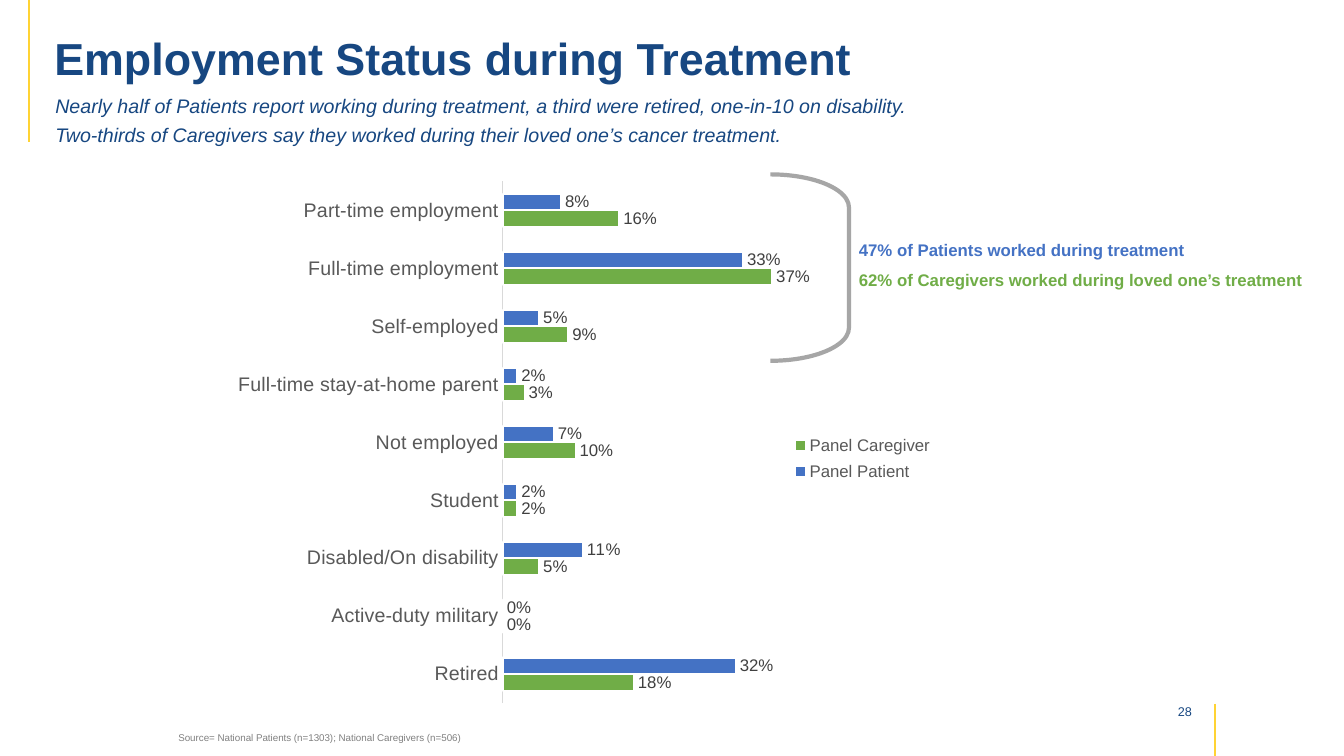
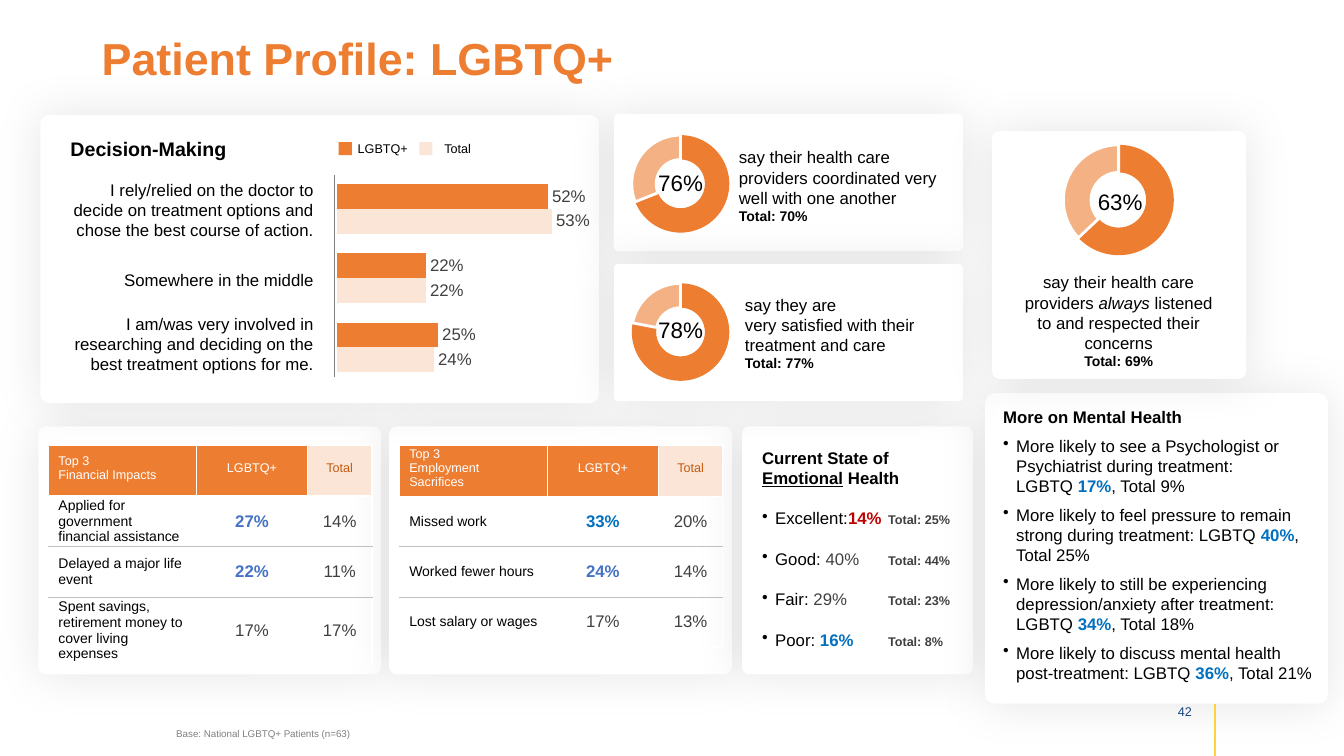
from dataclasses import dataclass, replace

from lxml.etree import SubElement
from pptx import Presentation
from pptx.chart.data import CategoryChartData
from pptx.dml.color import RGBColor
from pptx.enum.chart import XL_CHART_TYPE, XL_LABEL_POSITION, XL_LEGEND_POSITION, XL_TICK_MARK
from pptx.enum.shapes import MSO_CONNECTOR, MSO_SHAPE
from pptx.enum.text import MSO_ANCHOR, PP_ALIGN
from pptx.oxml import parse_xml
from pptx.oxml.ns import nsdecls, qn
from pptx.util import Emu, Pt

PX = 9144  # 100 px to the inch
FONT = "Arial"
NAVY, GOLD, WHITE, BLACK = "174781", "FFD334", "FFFFFF", "000000"
BLUE, GREEN, BRIGHT_BLUE, RED = "4472C4", "70AD47", "0070C0", "C00000"
ORANGE, PEACH, PALE, RUST = "ED7D31", "F4B183", "FBE5D6", "C55A11"
INK, SLATE, GRAY, BRACKET_GRAY, RULE, AXIS = "404040", "595959", "808080", "A6A6A6", "BFBFBF", "D9D9D9"


@dataclass(frozen=True)
class Look:
    size: int = 12
    color: str = BLACK
    bold: bool = False
    italic: bool = False
    underline: bool = False


BODY = Look()
STRONG = Look(bold=True)
TOTAL = Look(size=10, bold=True)
TITLE = Look(size=32, color=NAVY, bold=True)


def px(*lengths):
    return [Emu(length * PX) for length in lengths]


def rgb(color):
    return RGBColor.from_string(color)


def style_font(font, look):
    font.name, font.size = FONT, Pt(look.size)
    font.bold, font.italic, font.underline = look.bold, look.italic, look.underline
    font.color.rgb = rgb(look.color)


def write(paragraph, pieces, look):
    """Fill a paragraph from a string, or a list of strings and (string, Look) pairs."""
    for piece in [pieces] if isinstance(pieces, str) else pieces:
        text, piece_look = (piece, look) if isinstance(piece, str) else piece
        for index, line in enumerate(text.split("\n")):
            if index:
                paragraph.add_line_break()
            run = paragraph.add_run()
            run.text = line
            style_font(run.font, piece_look)


def make_bullet(paragraph):
    properties = paragraph._p.get_or_add_pPr()
    properties.set("marL", str(13 * PX))
    properties.set("indent", str(-13 * PX))
    SubElement(properties, qn("a:buChar")).set("char", "•")
    tabs = SubElement(properties, qn("a:tabLst"))
    tab = SubElement(tabs, qn("a:tab"))
    tab.set("pos", str(125 * PX))
    tab.set("algn", "l")


def add_text(slide, box, paragraphs, look=BODY, align=PP_ALIGN.LEFT,
             anchor=MSO_ANCHOR.TOP, gap=0, spacing=None, bulleted=False):
    """Add a text box; paragraphs after the first get the gap and, if asked, bullets."""
    frame = slide.shapes.add_textbox(*px(*box)).text_frame
    frame.word_wrap = True
    frame.vertical_anchor = anchor
    for index, pieces in enumerate(paragraphs):
        paragraph = frame.add_paragraph() if index else frame.paragraphs[0]
        if index and bulleted:
            make_bullet(paragraph)
        if index and gap:
            paragraph.space_before = Pt(gap)
        if spacing:
            paragraph.line_spacing = spacing
        paragraph.alignment = align
        write(paragraph, pieces, look)


def add_line(slide, start, end, color, width):
    line = slide.shapes.add_connector(MSO_CONNECTOR.STRAIGHT, *px(*start, *end))
    line.line.color.rgb = rgb(color)
    line.line.width = Pt(width)
    SubElement(line._element.spPr, qn("a:effectLst"))


def add_filled(slide, kind, box, color):
    shape = slide.shapes.add_shape(kind, *px(*box))
    shape.shadow.inherit = False
    shape.fill.solid()
    shape.fill.fore_color.rgb = rgb(color)
    shape.line.fill.background()
    return shape


def add_card(slide, box):
    """Add a white rounded panel with a soft glow of shadow."""
    card = add_filled(slide, MSO_SHAPE.ROUNDED_RECTANGLE, box, WHITE)
    card.adjustments[0] = 0.03
    effects = card._element.spPr.find(qn("a:effectLst"))
    effects.append(parse_xml(
        f'<a:outerShdw {nsdecls("a")} blurRad="{Pt(35)}" dist="0" dir="0" algn="ctr" rotWithShape="0">'
        f'<a:srgbClr val="{BLACK}"><a:alpha val="10000"/></a:srgbClr></a:outerShdw>'))


def add_frame(slide, title, number, title_left, title_color, source, source_box):
    """Add the title, page number, footer rule and source note every slide carries."""
    add_text(slide, (title_left, 23, 1239, 76), [title], replace(TITLE, color=title_color),
             anchor=MSO_ANCHOR.MIDDLE, spacing=0.9)
    add_text(slide, (1133, 693, 59, 25), [number], Look(9, NAVY), PP_ALIGN.RIGHT)
    add_line(slide, (1205, 698), (1205, 750), GOLD, 1.5)
    add_text(slide, source_box, [source], Look(7, GRAY))


def manual_layout(x, y, width, height, inner=False):
    target = '<c:layoutTarget val="inner"/>' if inner else ""
    return parse_xml(
        f'<c:layout {nsdecls("c")}><c:manualLayout>{target}'
        '<c:xMode val="edge"/><c:yMode val="edge"/>'
        f'<c:x val="{x}"/><c:y val="{y}"/><c:w val="{width}"/><c:h val="{height}"/>'
        '</c:manualLayout></c:layout>')


def add_chart(slide, kind, box, categories, series, plot_area):
    data = CategoryChartData()
    data.categories = categories
    for name, values in series:
        data.add_series(name, values)
    chart = slide.shapes.add_chart(kind, *px(*box), data).chart
    chart.has_title = False
    chart.has_legend = False
    style_font(chart.font, Look(10))
    area = chart.element.find(".//" + qn("c:plotArea"))
    for layout in area.findall(qn("c:layout")):
        area.remove(layout)
    area.insert(0, manual_layout(*plot_area, inner=True))
    return chart


def add_bars(slide, box, categories, series, colors, plot_area, gap_width, top):
    """Add a top-down bar chart with percent labels and no value axis."""
    chart = add_chart(slide, XL_CHART_TYPE.BAR_CLUSTERED, box, categories, series, plot_area)
    values = chart.value_axis
    values.minimum_scale, values.maximum_scale = 0, top
    values.has_major_gridlines = False
    values.visible = False
    chart.category_axis.reverse_order = True
    plot = chart.plots[0]
    plot.gap_width = gap_width
    plot.overlap = 0
    plot.vary_by_categories = False
    for bars, color in zip(plot.series, colors):
        bars.format.fill.solid()
        bars.format.fill.fore_color.rgb = rgb(color)
        labels = bars.data_labels
        labels.show_value = True
        labels.number_format, labels.number_format_is_linked = "0%", False
        labels.position = XL_LABEL_POSITION.OUTSIDE_END
        style_font(labels.font, Look(12, INK))
    return chart


def add_ring(slide, box, share, label, label_box):
    chart = add_chart(slide, XL_CHART_TYPE.DOUGHNUT, box, ["1", "2"],
                      [("Series 1", (share, 100 - share))], (0.1, 0.1, 0.8, 0.8))
    chart.element.find(".//" + qn("c:holeSize")).set("val", "75")
    points = chart.plots[0].series[0].points
    for index, color in enumerate((ORANGE, PEACH)):
        points[index].format.fill.solid()
        points[index].format.fill.fore_color.rgb = rgb(color)
    points[0].format.line.fill.background()
    points[1].format.line.color.rgb = rgb(WHITE)
    points[1].format.line.width = Pt(2)
    add_text(slide, label_box, [label], Look(16), PP_ALIGN.CENTER, MSO_ANCHOR.MIDDLE, spacing=0.9)


def set_border(cell, side, color, width):
    border = SubElement(cell._tc.get_or_add_tcPr(), qn("a:ln" + side))
    border.set("w", str(Pt(width)))
    SubElement(SubElement(border, qn("a:solidFill")), qn("a:srgbClr")).set("val", color)


def add_top_three(slide, left, heading, rows):
    """Add a ranking table; each row is label, group share, its highlight or None, total."""
    table = slide.shapes.add_table(4, 3, *px(left, 442, 321, 200)).table
    table.first_row = table.horz_banding = False
    for column, width in zip(table.columns, px(147, 110, 64)):
        column.width = width
    head = Look(9, WHITE)
    grid = [[(heading, head), ("LGBTQ+", head), ("Total", Look(9, RUST))]]
    for label, share, highlight, total in rows:
        share_look = Look(12, highlight or INK, bold=bool(highlight))
        grid.append([(label, Look(10)), (share, share_look), (total, Look(12, INK))])
    for r, line in enumerate(grid):
        table.rows[r].height = px(50)[0]
        for c, piece in enumerate(line):
            cell = table.cell(r, c)
            cell.margin_left = cell.margin_right = px(10)[0]
            cell.margin_top, cell.margin_bottom = px(0, 0 if r else 5)
            cell.vertical_anchor = MSO_ANCHOR.MIDDLE
            paragraph = cell.text_frame.paragraphs[0]
            paragraph.alignment = PP_ALIGN.CENTER if c else PP_ALIGN.LEFT
            write(paragraph, [piece], BODY)
            thin, clear = (RULE, 0.5), (WHITE, 1)
            for side, edge in (("L", clear), ("R", clear), ("T", thin if r > 1 else clear),
                               ("B", thin if r in (1, 2) else clear)):
                set_border(cell, side, *edge)
            if r:
                cell.fill.background()
            else:
                cell.fill.solid()
                cell.fill.fore_color.rgb = rgb(PALE if c == 2 else ORANGE)


def build_employment(slide):
    add_line(slide, (29, 0), (29, 141), GOLD, 1.5)
    add_frame(slide, "Employment Status during Treatment", "28", 44, NAVY,
              "Source= National Patients (n=1303); National Caregivers (n=506)", (167, 721, 625, 22))
    add_text(slide, (45, 88, 1235, 71), [
        "Nearly half of Patients report working during treatment, a third were retired, one-in-10 on disability.",
        "Two-thirds of Caregivers say they worked during their loved one’s cancer treatment.",
    ], Look(14, NAVY, italic=True), gap=4)

    statuses = ["Part-time employment", "Full-time employment", "Self-employed",
                "Full-time stay-at-home parent", "Not employed", "Student",
                "Disabled/On disability", "Active-duty military", "Retired"]
    panels = [("Panel Patient", (0.08, 0.33, 0.05, 0.02, 0.07, 0.02, 0.11, 0, 0.32)),
              ("Panel Caregiver", (0.16, 0.37, 0.09, 0.03, 0.1, 0.02, 0.05, 0, 0.18))]
    chart = add_bars(slide, (236, 164, 821, 534), statuses, panels, (BLUE, GREEN),
                     (0.32, 0.03, 0.66, 0.97), 150, 0.75)
    for bars in chart.plots[0].series:
        bars.format.line.color.rgb = rgb(WHITE)
        bars.format.line.width = Pt(1.5)
    axis = chart.category_axis
    axis.major_tick_mark = XL_TICK_MARK.NONE
    axis.format.line.color.rgb = rgb(AXIS)
    axis.format.line.width = Pt(0.75)
    style_font(axis.tick_labels.font, Look(14, SLATE))
    chart.has_legend = True
    legend = chart.legend
    legend.position = XL_LEGEND_POSITION.RIGHT
    legend.include_in_layout = False
    style_font(legend.font, Look(12, SLATE))
    legend_place = legend._element.find(qn("c:legendPos"))
    legend_place.addnext(manual_layout(0.66, 0.49, 0.19, 0.11))

    findings = [("47% of Patients worked during treatment", BLUE),
                ("62% of Caregivers worked during loved one’s treatment", GREEN)]
    for index, (finding, color) in enumerate(findings):
        add_text(slide, (842, 233 + 30 * index, 463, 30), [finding], replace(STRONG, color=color))
    bracket = slide.shapes.add_shape(MSO_SHAPE.RIGHT_BRACKET, *px(764, 173, 78, 185))
    bracket.adjustments[0] = 0.42
    bracket.shadow.inherit = False
    bracket.fill.background()
    bracket.line.color.rgb = rgb(BRACKET_GRAY)
    bracket.line.width = Pt(3)


def add_decisions(slide):
    add_bars(slide, (58, 128, 563, 299), ["1", "2", "3"],
             [("Series 1", (0.52, 0.22, 0.25)), ("Series 2", (0.53, 0.22, 0.24))],
             (ORANGE, PALE), (0.49, 0.15, 0.43, 0.69), 80, 0.6).category_axis.visible = False
    add_text(slide, (60, 131, 219, 34), ["Decision-Making"], Look(14, bold=True))
    for top, height, choice in (
            (173, 71, "I rely/relied on the doctor to decide on treatment options and "
                      "chose the best course of action."),
            (263, 30, "Somewhere in the middle"),
            (306, 71, "I am/was very involved in researching and deciding on the "
                      "best treatment options for me.")):
        add_text(slide, (53, top, 268, height), [choice], align=PP_ALIGN.RIGHT)
    for key_left, label_left, label, color in ((336, 345, "LGBTQ+", ORANGE), (416, 431, "Total", PALE)):
        add_filled(slide, MSO_SHAPE.RECTANGLE, (key_left, 141, 13, 13), color)
        add_text(slide, (label_left, 135, 80, 25), [label], Look(9))
    add_line(slide, (332, 174), (332, 374), GRAY, 0.5)


def add_care_rings(slide):
    add_ring(slide, (584, 122, 182, 121), 69, "76%", (624, 161, 102, 44))
    add_text(slide, (723, 141, 219, 88), [
        "say their health care providers coordinated very well with one another",
        [("Total: 70%", TOTAL)]])
    add_ring(slide, (584, 269, 182, 121), 78, "78%", (624, 307, 102, 44))
    add_text(slide, (729, 287, 219, 88), [
        "say they are\nvery satisfied with their treatment and care", [("Total: 77%", TOTAL)]])
    add_ring(slide, (1009, 130, 201, 137), 63, "63%", (1060, 180, 102, 44))
    add_text(slide, (1000, 265, 219, 108), [
        ["say their health care providers ", ("always ", Look(italic=True)),
         "listened to and respected their concerns"],
        [("Total: 69%", TOTAL)]], align=PP_ALIGN.CENTER)


def add_health_lists(slide):
    plain, blue = Look(12, INK), replace(STRONG, color=BRIGHT_BLUE)
    states = [("Excellent:", "14%", replace(STRONG, color=RED), "25%"), ("Good: ", "40%", plain, "44%"),
              ("Fair: ", "29%", plain, "23%"), ("Poor: ", "16%", blue, "8%")]
    add_text(slide, (746, 439, 221, 221), [
        [("Current State of ", STRONG), ("Emotional", replace(STRONG, underline=True)), (" Health", STRONG)],
        *([state, (share, look), (f"\tTotal: {total}", Look(9, INK, bold=True))]
          for state, share, look, total in states)], gap=14.5, bulleted=True)
    likelihoods = [
        ("to see a Psychologist or Psychiatrist during treatment:\nLGBTQ ", "17%", "9%"),
        ("to feel pressure to remain strong during treatment: LGBTQ ", "40%", "25%"),
        ("to still be experiencing depression/anxiety after treatment: LGBTQ ", "34%", "18%"),
        ("to discuss mental health post-treatment: LGBTQ ", "36%", "21%")]
    add_text(slide, (985, 399, 331, 300), [
        [("More on Mental Health", STRONG)],
        *(["More likely " + what, (share, blue), f", Total {total}"]
          for what, share, total in likelihoods)], gap=6, bulleted=True)


def build_profile(slide):
    for box in ((38, 423, 340, 246), (386, 423, 340, 246), (736, 423, 229, 246),
                (40, 114, 554, 286), (977, 390, 340, 308), (609, 113, 346, 136),
                (609, 262, 346, 136), (984, 130, 252, 246)):
        add_card(slide, box)
    add_frame(slide, "Patient Profile: LGBTQ+", "42", 91, ORANGE,
              "Base: National LGBTQ+ Patients (n=63)", (165, 717, 340, 22))
    add_top_three(slide, 48, "Top 3\nFinancial Impacts", [
        ("Applied for government financial assistance", "27%", BLUE, "14%"),
        ("Delayed a major life event", "22%", BLUE, "11%"),
        ("Spent savings,\nretirement money to cover living expenses", "17%", None, "17%")])
    add_top_three(slide, 396, "Top 3\nEmployment Sacrifices", [
        ("Missed work", "33%", BRIGHT_BLUE, "20%"),
        ("Worked fewer hours", "24%", BLUE, "14%"),
        ("Lost salary or wages", "17%", None, "13%")])
    add_decisions(slide)
    add_care_rings(slide)
    add_health_lists(slide)


def main():
    deck = Presentation()
    deck.slide_width, deck.slide_height = px(1333, 750)
    for build in (build_employment, build_profile):
        build(deck.slides.add_slide(deck.slide_layouts[6]))
    deck.save("out.pptx")


if __name__ == "__main__":
    main()
